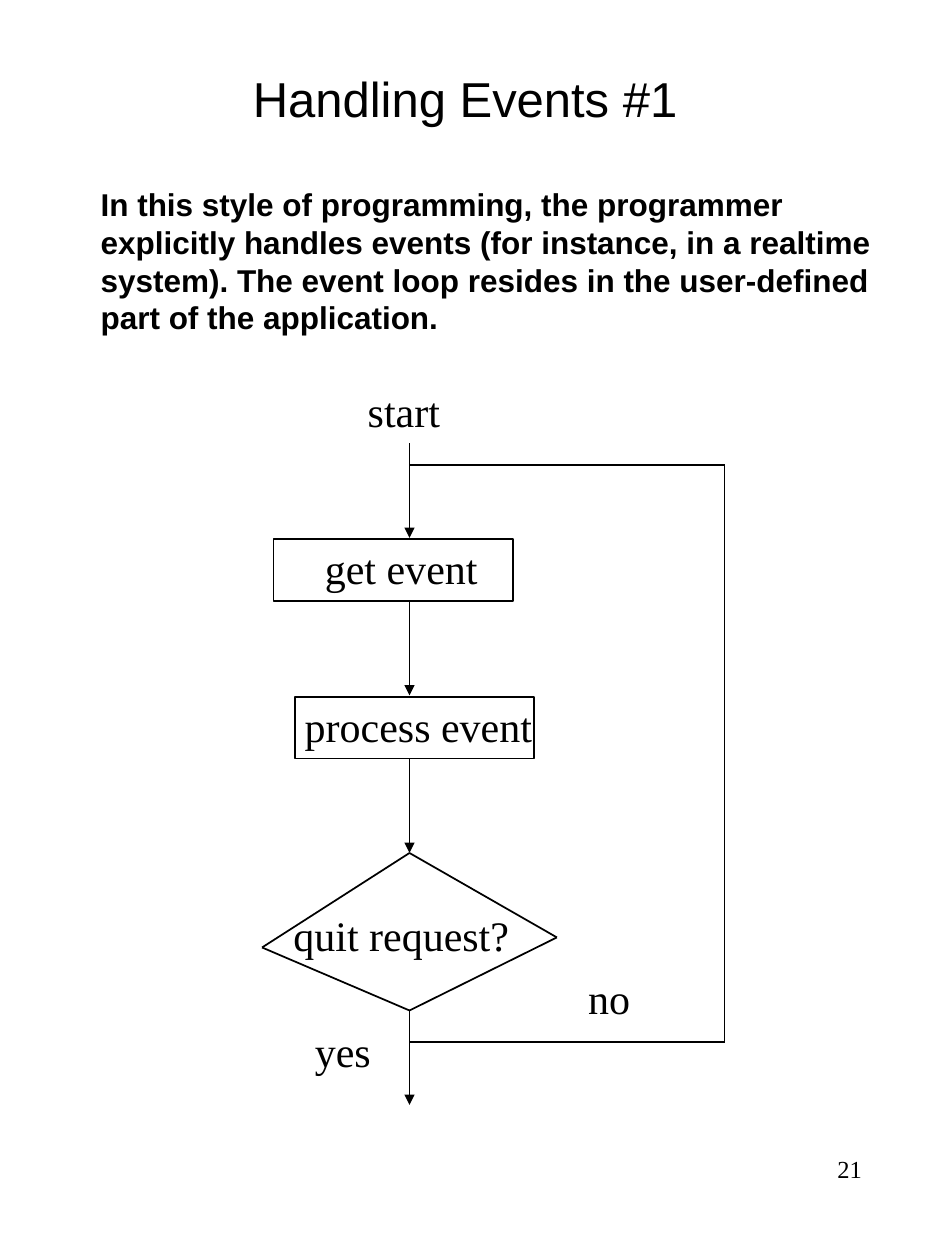
from itertools import pairwise

from lxml import etree
from pptx import Presentation
from pptx.dml.color import RGBColor
from pptx.enum.shapes import MSO_CONNECTOR as Connector, MSO_SHAPE as Shape
from pptx.enum.text import MSO_ANCHOR as Anchor, MSO_AUTO_SIZE as AutoSize, PP_ALIGN as Align
from pptx.oxml.ns import qn
from pptx.util import Inches, Pt

BLACK = RGBColor(0, 0, 0)
WHITE = RGBColor(255, 255, 255)
SANS, SERIF = "Arial", "Times New Roman"

TITLE = {"name": SANS, "size": Pt(28)}
BODY = {"name": SANS, "size": Pt(18), "bold": True}
LABEL = {"name": SERIF, "size": Pt(24)}
NUMBER = {"name": SERIF, "size": Pt(14)}


class FlowPage:
    line_width = Pt(1)

    def __init__(self, page):
        self.page = page

    def text(self, lines, place, style, align=Align.LEFT, anchor=Anchor.TOP):
        box = self.page.shapes.add_textbox(*map(Inches, place))
        frame = box.text_frame
        settings = {
            "word_wrap": True,
            "vertical_anchor": anchor,
            "auto_size": AutoSize.NONE,
        }
        for name, value in settings.items():
            setattr(frame, name, value)
        frame.text = "\n".join(lines)
        for para in frame.paragraphs:
            para.alignment = align
            for span in para.runs:
                for name, value in style.items():
                    setattr(span.font, name, value)
                span.font.color.rgb = BLACK

    def process(self, place):
        """Draw the outlined rectangle of a processing step."""
        shape = self.page.shapes.add_shape(Shape.RECTANGLE, *map(Inches, place))
        shape.shadow.inherit = False
        shape.fill.solid()
        shape.fill.fore_color.rgb = WHITE
        shape.line.color.rgb = BLACK
        shape.line.width = self.line_width

    def line(self, start, end, arrow=False):
        ends = map(Inches, (*start, *end))
        connector = self.page.shapes.add_connector(Connector.STRAIGHT, *ends)
        connector.line.color.rgb = BLACK
        connector.line.width = self.line_width
        properties = connector._element.spPr
        if arrow:
            outline = properties.find(qn("a:ln"))
            etree.SubElement(outline, qn("a:tailEnd"), type="triangle")
        etree.SubElement(properties, qn("a:effectLst"))

    def path_through(self, points):
        for start, end in pairwise(points):
            self.line(start, end)


def main():
    deck = Presentation()
    deck.slide_width, deck.slide_height = Inches(7.5), Inches(10)
    flow = FlowPage(deck.slides.add_slide(deck.slide_layouts[6]))

    flow.text(["21"], (5.38, 9.11, 1.56, 0.67), NUMBER, align=Align.RIGHT)
    flow.text(["Handling Events #1"], (0.5, 0.25, 6.38, 1.06), TITLE,
              align=Align.CENTER, anchor=Anchor.MIDDLE)
    flow.text([
        "In this style of programming, the programmer",
        "explicitly handles events (for instance, in a realtime",
        "system). The event loop resides in the user-defined",
        "part of the application.",
    ], (0.7, 1.42, 6.48, 1.3), BODY)

    for left, top in ((2.17, 4.28), (2.34, 5.53)):
        flow.process((left, top, 1.9, 0.49))

    axis, loop_right = 3.25, 5.75
    for top in (3.52, 4.77, 6.02, 8.02):
        flow.line((axis, top), (axis, top + 0.75), arrow=True)

    decision_top = (axis, 6.77)
    flow.path_through([decision_top, (2.08, 7.52), (axis, 8.02), (4.42, 7.44), decision_top])
    flow.path_through([(axis, 8.27), (loop_right, 8.27), (loop_right, 3.69), (axis, 3.69)])

    # Widths leave a little room so that no label breaks.
    labels = (
        ("start", 2.82, 3.01, 0.87),
        ("get event", 2.48, 4.26, 1.51),
        ("process event", 2.32, 5.51, 2.1),
        ("quit request?", 2.23, 7.17, 2.01),
        ("no", 4.57, 7.67, 0.63),
        ("yes", 2.4, 8.09, 0.74),
    )
    for words, left, top, width in labels:
        flow.text([words], (left, top, width, 0.5), LABEL)

    deck.save("out.pptx")


if __name__ == "__main__":
    main()
